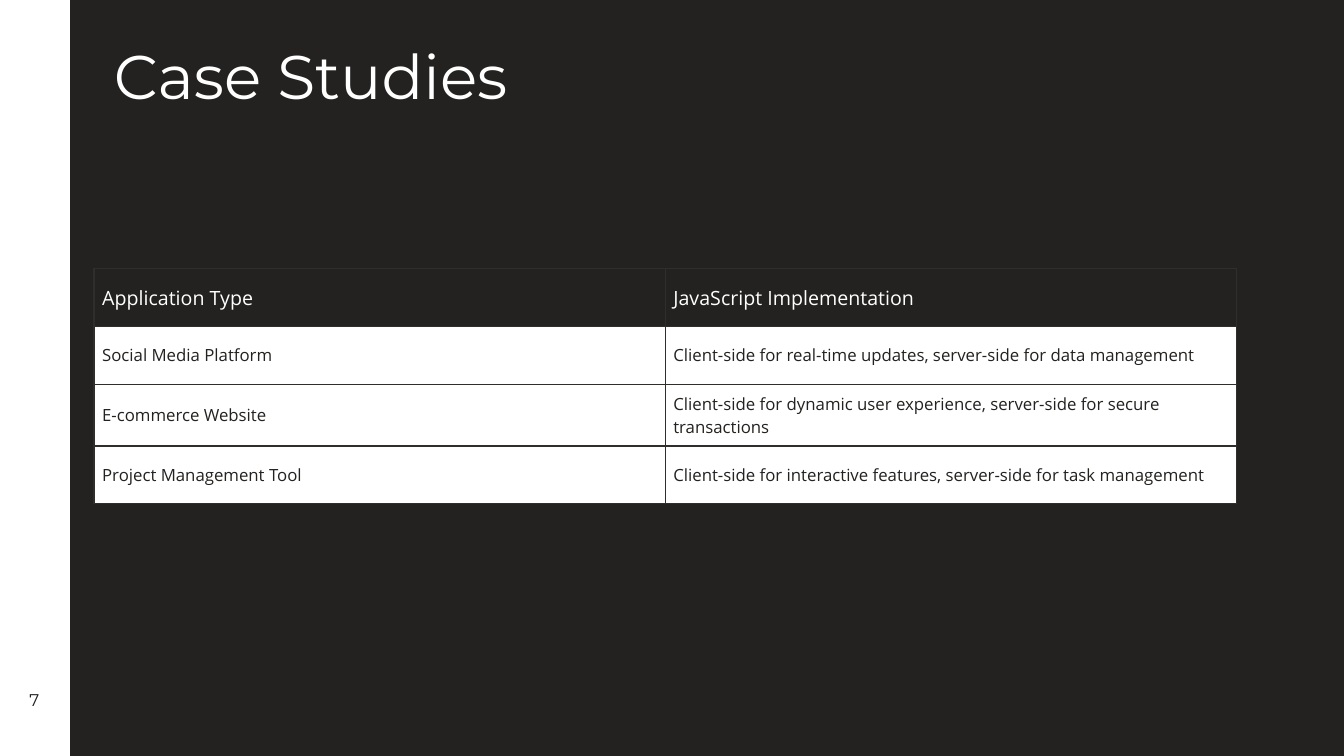
from dataclasses import dataclass
from typing import NamedTuple

from lxml import etree
from pptx import Presentation
from pptx import util as u
from pptx.dml.color import RGBColor
from pptx.enum import shapes, text
from pptx.oxml import ns


@dataclass(frozen=True)
class Theme:
    dark: str = "232220"
    white: str = "FFFFFF"
    rule: str = "2F2E2C"
    head: str = "Montserrat"
    body: str = "Open Sans"
    title: float = 44
    label: float = 14
    cell: float = 12
    page: float = 12.1


class Case(NamedTuple):
    app: str
    use: str


THEME = Theme()
WIDE, HIGH = 960, 540
BAR = 49.5
COL, ROW, PAD = 408, 41.2, 5.76
HEADER = Case("Application Type", "JavaScript Implementation")
CASES = [
    Case("Social Media Platform",
         "Client-side for real-time updates, server-side for data management"),
    Case("E-commerce Website",
         "Client-side for dynamic user experience, server-side for secure transactions"),
    Case("Project Management Tool",
         "Client-side for interactive features, server-side for task management"),
]


def paint(fill, color: str) -> None:
    fill.solid()
    fill.fore_color.rgb = RGBColor.from_string(color)


def write(frame, words: str, *, size: float, font: str, color: str,
          align=text.PP_ALIGN.LEFT) -> None:
    frame.word_wrap = True
    para = frame.paragraphs[0]
    para.alignment = align
    run = para.add_run()
    run.text = words
    run.font.size = u.Pt(size)
    run.font.name = font
    run.font.color.rgb = RGBColor.from_string(color)


def add_box(slide, left: float, top: float, width: float, height: float):
    box = slide.shapes.add_textbox(*map(u.Pt, (left, top, width, height)))
    return box.text_frame


def add_bar(slide) -> None:
    bar = slide.shapes.add_shape(shapes.MSO_SHAPE.RECTANGLE, 0, 0,
                                 u.Pt(BAR), u.Pt(HIGH))
    bar.shadow.inherit = False
    paint(bar.fill, THEME.white)
    bar.line.fill.background()
    edge = slide.shapes.add_connector(shapes.MSO_CONNECTOR.STRAIGHT,
                                      u.Pt(BAR), 0, u.Pt(BAR), u.Pt(HIGH))
    edge.line.width = u.Pt(1.5)
    edge.line.color.rgb = RGBColor.from_string(THEME.white)
    etree.SubElement(edge._element.spPr, ns.qn("a:effectLst"))


def rule_cell(cell) -> None:
    """Draw a thin line on all four sides; borders must precede the fill."""
    props = cell._tc.get_or_add_tcPr()
    for spot, side in enumerate(("lnL", "lnR", "lnT", "lnB")):
        line = etree.Element(ns.qn(f"a:{side}"), w=str(u.Pt(1)))
        solid = etree.SubElement(line, ns.qn("a:solidFill"))
        etree.SubElement(solid, ns.qn("a:srgbClr"), val=THEME.rule)
        props.insert(spot, line)


def add_cases(slide) -> None:
    rows = [HEADER, *CASES]
    count = len(HEADER)
    table = slide.shapes.add_table(
        len(rows), count, u.Pt(67.2), u.Pt(192),
        u.Pt(COL * count), u.Pt(ROW * len(rows))).table
    table.horz_banding = False
    for col in table.columns:
        col.width = u.Pt(COL)
    for r, case in enumerate(rows):
        top = r == 0
        table.rows[r].height = u.Pt(ROW)
        for c, words in enumerate(case):
            cell = table.cell(r, c)
            cell.margin_left = cell.margin_right = u.Pt(PAD)
            cell.margin_top = cell.margin_bottom = u.Pt(PAD)
            cell.vertical_anchor = text.MSO_ANCHOR.MIDDLE
            paint(cell.fill, THEME.dark if top else THEME.white)
            rule_cell(cell)
            write(cell.text_frame, words, font=THEME.body,
                  size=THEME.label if top else THEME.cell,
                  color=THEME.white if top else THEME.dark)
            cell.text_frame.paragraphs[0].runs[0].font.bold = False


def main() -> None:
    deck = Presentation()
    deck.slide_width, deck.slide_height = u.Pt(WIDE), u.Pt(HIGH)
    slide = deck.slides.add_slide(deck.slide_layouts[6])
    paint(slide.background.fill, THEME.dark)
    add_bar(slide)
    add_cases(slide)
    write(add_box(slide, 74.2, 23.8, 810.7, 67), "Case Studies",
          size=THEME.title, font=THEME.head, color=THEME.white)
    page = add_box(slide, 0, 486, 49, 28)
    page.vertical_anchor = text.MSO_ANCHOR.MIDDLE
    write(page, "7", size=THEME.page, font=THEME.head, color=THEME.dark,
          align=text.PP_ALIGN.CENTER)
    deck.save("out.pptx")


if __name__ == "__main__":
    main()
